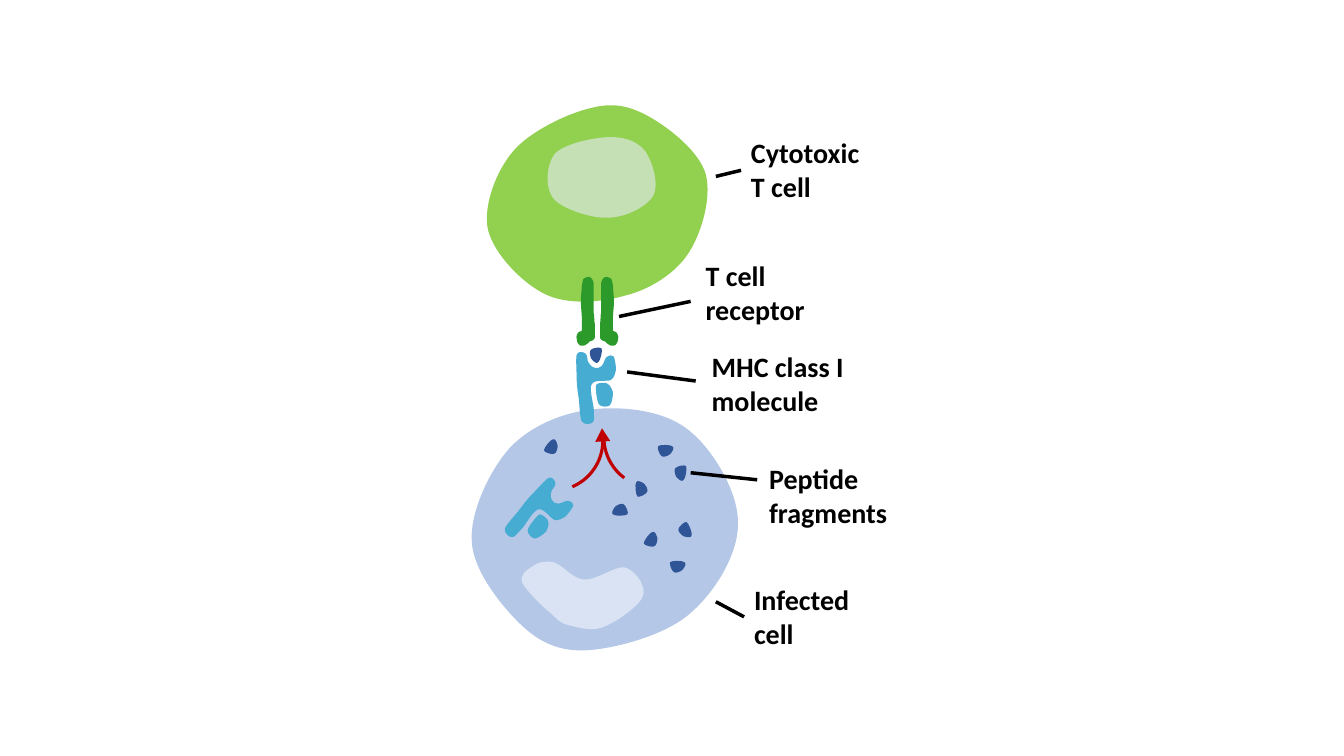
from dataclasses import dataclass

from lxml import etree
from pptx import Presentation
from pptx.dml.color import RGBColor
from pptx.enum.shapes import MSO_CONNECTOR, MSO_SHAPE
from pptx.enum.text import MSO_AUTO_SIZE
from pptx.oxml.ns import qn
from pptx.util import Emu, Pt

PX = 9144
FINE = PX / 10
ADJUSTMENT_PER_DEGREE = 0.6
ARC = MSO_SHAPE.ARC
TRIANGLE = MSO_SHAPE.ISOSCELES_TRIANGLE
STRAIGHT = MSO_CONNECTOR.STRAIGHT
FIT_TEXT = MSO_AUTO_SIZE.SHAPE_TO_FIT_TEXT

Point = tuple[int, int]


@dataclass(frozen=True)
class Theme:
    font: str = "Calibri"
    label_size: int = 20
    leader_width: float = 2.5
    receptor_width: float = 2.75
    arrow_width: float = 2.25
    text: str = "000000"
    infected: str = "B4C7E7"
    infected_nucleus: str = "DAE3F3"
    t_cell: str = "92D050"
    t_cell_nucleus: str = "C5E0B4"
    receptor: str = "2C9A2B"
    mhc: str = "47ACD2"
    peptide: str = "2F5597"
    arrow: str = "C00000"


@dataclass(frozen=True)
class Blob:
    outline: list[Point]
    color: str
    scale: float = PX
    line_width: float = 0


@dataclass(frozen=True)
class Placement:
    x: int
    y: int
    rotation: int


@dataclass(frozen=True)
class Label:
    lines: tuple[str, str]
    left: int
    top: int
    width: int
    start: Point
    end: Point


@dataclass(frozen=True)
class ArrowArc:
    left: int
    top: int
    start_angle: float
    end_angle: float


THEME = Theme()
LABEL_HEIGHT = 77
ARC_SIZE = 100

INFECTED_CELL = Blob([
    (517, 620), (536, 638), (556, 647), (584, 645), (612, 643), (660, 630), (684, 609),
    (709, 588), (733, 549), (732, 518), (732, 487), (706, 444), (682, 426),
    (658, 407), (618, 403), (589, 406), (559, 409), (527, 422), (506, 444),
    (486, 466), (466, 508), (468, 537), (469, 566), (498, 602), (517, 620)], THEME.infected)
T_CELL = Blob([
    (646, 117), (627, 106), (610, 101), (587, 107), (564, 112), (526, 130), (509, 150),
    (492, 170), (479, 204), (484, 228), (490, 252), (518, 281), (541, 292),
    (564, 303), (597, 300), (621, 293), (645, 287), (670, 271), (683, 251),
    (696, 231), (706, 196), (700, 173), (694, 151), (665, 128), (646, 117)], THEME.t_cell)
INFECTED_NUCLEUS = Blob([
    (546, 608), (554, 616), (557, 619), (567, 621), (576, 623), (589, 627), (601, 621),
    (613, 616), (635, 600), (638, 591), (641, 581), (630, 566), (620, 563),
    (611, 561), (591, 576), (579, 575), (568, 574), (558, 561), (550, 558),
    (541, 556), (533, 558), (528, 562), (523, 565), (515, 570), (518, 578),
    (522, 586), (537, 601), (546, 608)], THEME.infected_nucleus)
T_CELL_NUCLEUS = Blob([
    (606, 136), (591, 136), (561, 142), (551, 152), (542, 162), (540, 186), (549, 197),
    (557, 207), (587, 217), (603, 216), (620, 216), (642, 205), (648, 194),
    (654, 183), (647, 160), (640, 150), (633, 141), (621, 136), (606, 136)],
    THEME.t_cell_nucleus)
LEFT_ARM = [
    (574, 336), (574, 337), (574, 340), (576, 341), (577, 341), (578, 341), (579, 341),
    (580, 341), (581, 339), (582, 339), (583, 338), (583, 338), (584, 337),
    (585, 337), (586, 337), (587, 336), (588, 336), (588, 336), (588, 335),
    (588, 334), (588, 328), (588, 321), (587, 318), (588, 314), (587, 311),
    (587, 307), (587, 292), (587, 288), (587, 285), (587, 283), (587, 281),
    (587, 279), (585, 278), (585, 277), (584, 276), (583, 277), (582, 277),
    (581, 277), (581, 277), (580, 278), (580, 279), (580, 280), (579, 283),
    (579, 287), (578, 293), (578, 299), (578, 304), (579, 312), (579, 315),
    (579, 321), (579, 327), (579, 329), (578, 330), (576, 331), (575, 331),
    (574, 332), (574, 332), (574, 333), (573, 334), (574, 335), (574, 336)]
RECEPTOR_MIRROR = 1185
RIGHT_ARM = [(RECEPTOR_MIRROR - x, y) for x, y in LEFT_ARM]
ARMS = [Blob(arm, THEME.receptor, line_width=THEME.receptor_width)
        for arm in (LEFT_ARM, RIGHT_ARM)]
HEAVY_CHAIN = Blob([
    (572, 375), (572, 382), (573, 388), (574, 395), (575, 402), (575, 414), (577, 418),
    (580, 422), (586, 421), (588, 419), (590, 417), (589, 413), (589, 407),
    (589, 401), (584, 386), (587, 381), (590, 376), (602, 379), (606, 377),
    (610, 374), (610, 370), (611, 367), (611, 363), (610, 357), (609, 354),
    (607, 352), (604, 352), (602, 354), (600, 355), (599, 361), (597, 363),
    (595, 365), (592, 366), (590, 365), (588, 365), (586, 363), (584, 360),
    (582, 358), (583, 352), (581, 351), (579, 349), (573, 348), (572, 352),
    (571, 356), (572, 368), (572, 375)], THEME.mhc)
LIGHT_CHAIN = Blob([
    (603, 381), (601, 379), (597, 380), (595, 380), (593, 381), (591, 380), (591, 384),
    (591, 387), (592, 398), (594, 401), (596, 404), (603, 404), (605, 402),
    (607, 400), (608, 393), (608, 389), (607, 386), (605, 382), (603, 381)], THEME.mhc)
PEPTIDE = Blob([
    (71, 6), (93, 12), (151, 103), (145, 124), (151, 154), (100, 154), (69, 150),
    (47, 143), (0, 112), (6, 90), (2, 71), (50, 0), (71, 6)], THEME.peptide, FINE)

FREE_HEAVY_CHAIN = Placement(534, 511, 45)
FREE_LIGHT_CHAIN = Placement(534, 523, 45)
PEPTIDES = [
    Placement(592, 351, 46), Placement(659, 446, 303), Placement(680, 525, 11),
    Placement(635, 486, 207), Placement(645, 536, 249), Placement(616, 507, 121),
    Placement(546, 444, 251), Placement(671, 561, 303), Placement(676, 468, 42)]
ARROW_ARCS = [ArrowArc(599, 384, 126.6, 179.8), ArrowArc(498, 387, 0.2, 66.7)]
LABELS = [
    Label(("Cytotoxic", "T cell"), 735, 130, 135, (735, 169), (710, 175)),
    Label(("T cell", "receptor"), 690, 252, 126, (685, 299), (614, 314)),
    Label(("MHC class I", "molecule"), 696, 342, 152, (690, 378), (622, 369)),
    Label(("Peptide", "fragments"), 753, 453, 145, (751, 476), (685, 469)),
    Label(("Infected", "cell"), 738, 573, 122, (738, 612), (710, 597))]


def px(*lengths: int) -> list[Emu]:
    return [Emu(length * PX) for length in lengths]


def paint(shape, fill: str = "", line: str = "", width: float = 0) -> None:
    shape.shadow.inherit = False
    for target, color in ((shape.fill, fill), (shape.line.fill, line)):
        if color:
            target.solid()
            target.fore_color.rgb = RGBColor.from_string(color)
        else:
            target.background()
    if line:
        shape.line.width = Pt(width)


def curve_segments(shape) -> None:
    segments = list(shape._element.iter(qn("a:lnTo")))
    for index in range(0, len(segments), 3):
        curve = etree.Element(qn("a:cubicBezTo"))
        segments[index].addprevious(curve)
        for segment in segments[index:index + 3]:
            curve.append(segment[0])
            segment.getparent().remove(segment)


def draw_blob(slide, blob: Blob, placement: Placement | None = None) -> None:
    start, *rest = blob.outline
    builder = slide.shapes.build_freeform(*start, scale=blob.scale)
    builder.add_line_segments(rest, close=True)
    shape = builder.convert_to_shape()
    curve_segments(shape)
    paint(shape, blob.color, blob.color if blob.line_width else "", blob.line_width)
    if placement:
        shape.left = Emu(placement.x * PX - shape.width // 2)
        shape.top = Emu(placement.y * PX - shape.height // 2)
        shape.rotation = placement.rotation


def draw_arrow(slide) -> None:
    for arc in ARROW_ARCS:
        shape = slide.shapes.add_shape(ARC, *px(arc.left, arc.top, ARC_SIZE, ARC_SIZE))
        for index, angle in enumerate((arc.start_angle, arc.end_angle)):
            shape.adjustments[index] = angle * ADJUSTMENT_PER_DEGREE
        paint(shape, line=THEME.arrow, width=THEME.arrow_width)
    head = slide.shapes.add_shape(TRIANGLE, *px(590, 425, 15, 13))
    head.rotation = -3
    paint(head, THEME.arrow)


def draw_label(slide, label: Label) -> None:
    leader = slide.shapes.add_connector(STRAIGHT, *px(*label.start, *label.end))
    leader.line.color.rgb = RGBColor.from_string(THEME.text)
    leader.line.width = Pt(THEME.leader_width)
    etree.SubElement(leader._element.spPr, qn("a:effectLst"))
    box = slide.shapes.add_textbox(*px(label.left, label.top, label.width, LABEL_HEIGHT))
    frame = box.text_frame
    frame.text = "\n".join(label.lines)
    frame.word_wrap = False
    frame.auto_size = FIT_TEXT
    text_format = {"name": THEME.font, "size": Pt(THEME.label_size), "bold": True}
    for paragraph in frame.paragraphs:
        font = paragraph.runs[0].font
        for name, value in text_format.items():
            setattr(font, name, value)
        font.color.rgb = RGBColor.from_string(THEME.text)


def main() -> None:
    presentation = Presentation()
    presentation.slide_width, presentation.slide_height = px(1333, 750)
    slide = presentation.slides.add_slide(presentation.slide_layouts[6])
    for blob in (INFECTED_CELL, T_CELL, INFECTED_NUCLEUS, T_CELL_NUCLEUS,
                 *ARMS, HEAVY_CHAIN, LIGHT_CHAIN):
        draw_blob(slide, blob)
    draw_blob(slide, HEAVY_CHAIN, FREE_HEAVY_CHAIN)
    draw_blob(slide, LIGHT_CHAIN, FREE_LIGHT_CHAIN)
    for placement in PEPTIDES:
        draw_blob(slide, PEPTIDE, placement)
    draw_arrow(slide)
    for label in LABELS:
        draw_label(slide, label)
    presentation.save("out.pptx")


if __name__ == "__main__":
    main()
